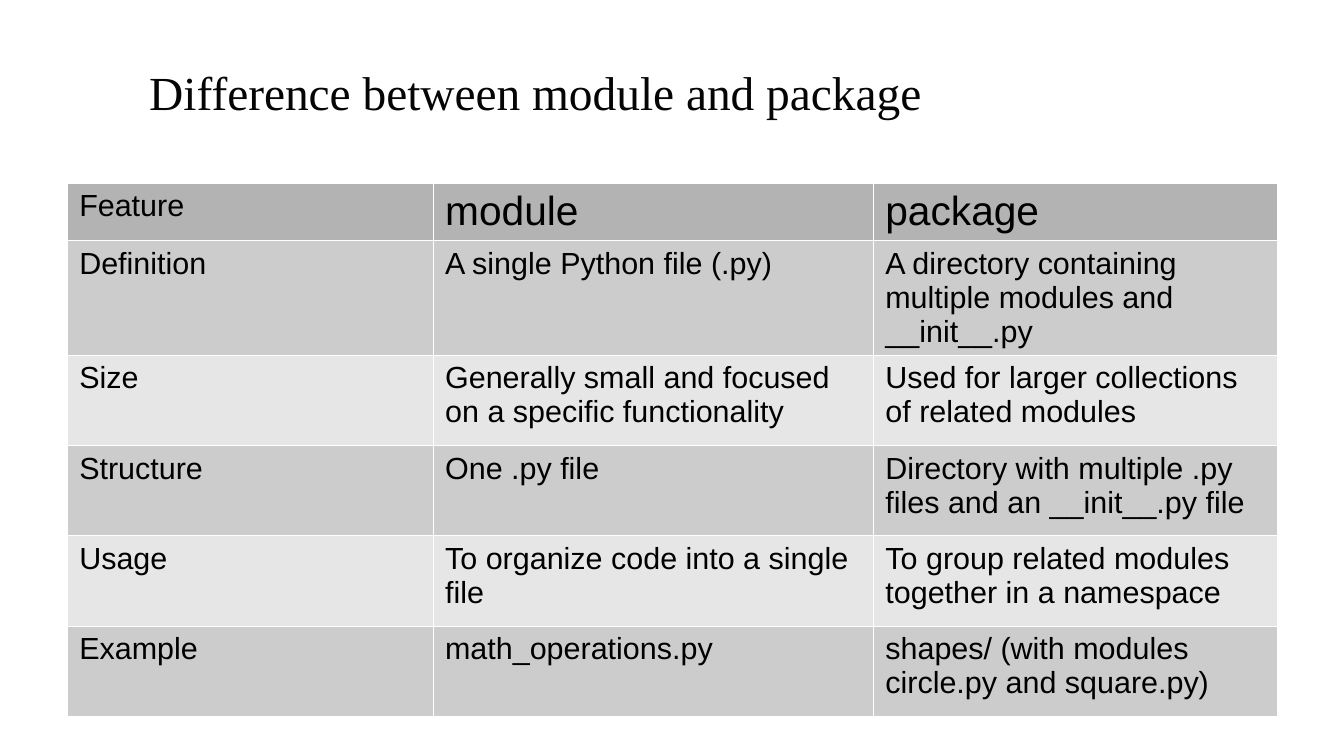
from dataclasses import dataclass

from lxml import etree
from pptx import Presentation
from pptx import util as u
from pptx.dml.color import RGBColor
from pptx.enum import text
from pptx.oxml import ns


@dataclass(frozen=True)
class Theme:
    title_font: str = "Times New Roman"
    table_font: str = "Arial"
    title_size: int = 28
    heading_size: int = 24
    cell_size: int = 18
    title_color: str = "050505"
    text_color: str = "000000"
    header_fill: str = "B3B3B3"
    band_fills: tuple = ("CCCCCC", "E6E6E6")
    border_color: str = "FFFFFF"
    border_width: float = 0.06


FEATURES = [
    ("Feature", "module", "package"),
    ("Definition", "A single Python file (.py)",
     "A directory containing multiple modules and __init__.py"),
    ("Size", "Generally small and focused on a specific functionality",
     "Used for larger collections of related modules"),
    ("Structure", "One .py file",
     "Directory with multiple .py files and an __init__.py file"),
    ("Usage", "To organize code into a single file",
     "To group related modules together in a namespace"),
    ("Example", "math_operations.py",
     "shapes/ (with modules circle.py and square.py)"),
]
COLUMN_WIDTHS = (3, 3.61, 3.31)
ROW_HEIGHTS = (0.47, 0.94) + (0.74,) * 4


class SlideBuilder:
    def __init__(self, slide, theme):
        self.slide = slide
        self.theme = theme

    def style_font(self, font, name, size, color):
        font.name = name
        font.size = u.Pt(size)
        font.bold = False
        font.color.rgb = RGBColor.from_string(color)

    def title(self, wording, left, top, width, height):
        heading = self.slide.shapes.title
        heading.left, heading.top = u.Inches(left), u.Inches(top)
        heading.width, heading.height = u.Inches(width), u.Inches(height)
        frame = heading.text_frame
        frame.text = wording
        frame.word_wrap = True
        frame.auto_size = text.MSO_AUTO_SIZE.NONE
        frame.vertical_anchor = text.MSO_ANCHOR.MIDDLE
        frame.margin_left = frame.margin_right = 0
        frame.margin_top = frame.margin_bottom = 0
        line = frame.paragraphs[0]
        line.alignment = text.PP_ALIGN.CENTER
        self.style_font(line.font, self.theme.title_font,
                        self.theme.title_size, self.theme.title_color)

    def cell_borders(self, cell):
        properties = cell._tc.get_or_add_tcPr()
        for side in ("lnL", "lnR", "lnT", "lnB"):
            border = etree.SubElement(properties, ns.qn(f"a:{side}"),
                                      w=str(u.Pt(self.theme.border_width)))
            fill = etree.SubElement(border, ns.qn("a:solidFill"))
            etree.SubElement(fill, ns.qn("a:srgbClr"),
                             val=self.theme.border_color)

    def cell(self, cell, wording, size, fill):
        cell.text = wording
        self.style_font(cell.text_frame.paragraphs[0].font,
                        self.theme.table_font, size, self.theme.text_color)
        self.cell_borders(cell)
        cell.fill.solid()
        cell.fill.fore_color.rgb = RGBColor.from_string(fill)

    def table(self, rows, widths, heights, left, top):
        table = self.slide.shapes.add_table(
            len(rows), len(widths), u.Inches(left), u.Inches(top),
            u.Inches(sum(widths)), u.Inches(sum(heights))).table
        for column, width in zip(table.columns, widths):
            column.width = u.Inches(width)
        for row, height in zip(table.rows, heights):
            row.height = u.Inches(height)
        for r, row in enumerate(rows):
            fill = self.theme.band_fills[(r - 1) % 2] if r else self.theme.header_fill
            for c, wording in enumerate(row):
                is_heading = r == 0 and c > 0
                size = self.theme.heading_size if is_heading else self.theme.cell_size
                self.cell(table.cell(r, c), wording, size, fill)


def main():
    deck = Presentation()
    deck.slide_width, deck.slide_height = u.Inches(11.02), u.Inches(6.2)
    title_only = deck.slide_layouts[5]
    builder = SlideBuilder(deck.slides.add_slide(title_only), Theme())
    builder.title("Difference between module and package", 0.55, 0.24, 7.68, 1.02)
    builder.table(FEATURES, COLUMN_WIDTHS, ROW_HEIGHTS, 0.55, 1.5)
    deck.save("out.pptx")


if __name__ == "__main__":
    main()
